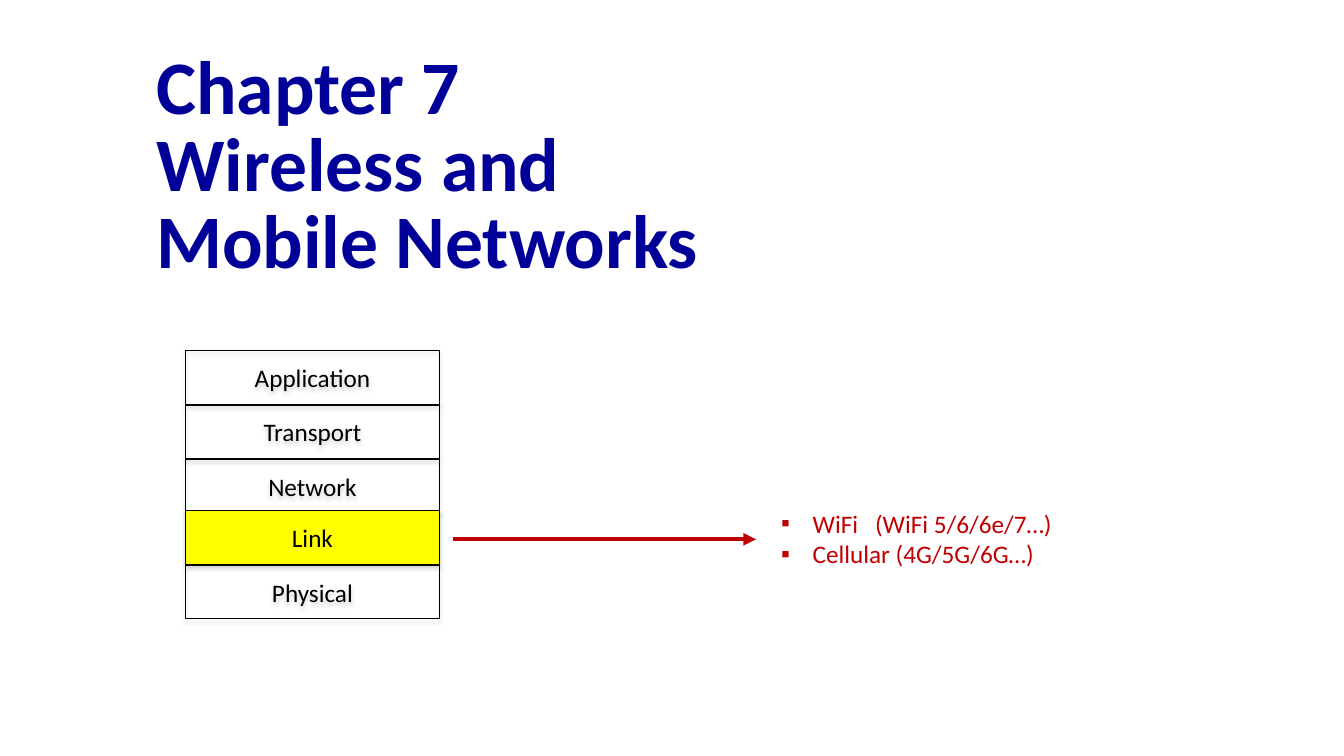
from dataclasses import dataclass

from lxml.etree import SubElement
from pptx import Presentation
from pptx.dml.color import RGBColor
from pptx.enum.shapes import MSO_CONNECTOR, MSO_SHAPE
from pptx.enum.text import MSO_ANCHOR, MSO_AUTO_SIZE, PP_ALIGN
from pptx.oxml.ns import qn
from pptx.util import Pt


@dataclass(frozen=True)
class Theme:
    font: str = "Calibri"
    title_size: int = 54
    text_size: int = 18
    navy: str = "000099"
    black: str = "000000"
    yellow: str = "FFFF00"
    red: str = "C00000"
    shadow: str = "808080"


theme = Theme()


def add_run(paragraph, text, size, color, bold=False):
    run = paragraph.add_run()
    run.text = text
    run.font.name = theme.font
    run.font.size = Pt(size)
    run.font.bold = bold
    run.font.color.rgb = RGBColor.from_string(color)


def place(part, left, top, width, height):
    part.left, part.top = Pt(left), Pt(top)
    part.width, part.height = Pt(width), Pt(height)


presentation = Presentation()
presentation.slide_width, presentation.slide_height = Pt(960), Pt(540)
slide = presentation.slides.add_slide(presentation.slide_layouts[1])

# Chapter title
chapter = slide.shapes.title
place(chapter, 104.4, 43.9, 751.7, 152.6)
chapter_text = chapter.text_frame
chapter_text.word_wrap = True
chapter_text.auto_size = MSO_AUTO_SIZE.NONE
chapter_text.vertical_anchor = MSO_ANCHOR.MIDDLE
heading = chapter_text.paragraphs[0]
add_run(heading, "Chapter 7", theme.title_size, theme.navy, True)
heading.add_line_break()
add_run(heading, "Wireless and", theme.title_size, theme.navy, True)
subject = chapter_text.add_paragraph()
add_run(subject, "Mobile Networks", theme.title_size, theme.navy, True)
for paragraph in (heading, subject):
    paragraph.alignment = PP_ALIGN.LEFT
    paragraph.line_spacing = 0.85
    paragraph.space_before = Pt(0)

# Protocol stack, with the link layer highlighted
layer_tops = {
    "Application": 250.6,
    "Transport": 289.4,
    "Network": 328.3,
    "Link": 365,
    "Physical": 403.9,
}
for name, top in layer_tops.items():
    layer = slide.shapes.add_shape(
        MSO_SHAPE.RECTANGLE, Pt(132.5), Pt(top), Pt(181.4), Pt(38.2))
    if name == "Link":
        layer.fill.solid()
        layer.fill.fore_color.rgb = RGBColor.from_string(theme.yellow)
    else:
        layer.fill.background()
    layer.line.color.rgb = RGBColor.from_string(theme.black)
    layer.line.width = Pt(0.75)
    layer.shadow.inherit = False
    effects = layer.element.spPr.find(qn("a:effectLst"))
    shadow = SubElement(
        effects, qn("a:outerShdw"), blurRad=str(Pt(3.1)), dist=str(Pt(1.8)),
        dir="5400000", rotWithShape="0")
    shade = SubElement(shadow, qn("a:srgbClr"), val=theme.shadow)
    SubElement(shade, qn("a:alpha"), val="35000")
    layer.text_frame.vertical_anchor = MSO_ANCHOR.MIDDLE
    label = layer.text_frame.paragraphs[0]
    label.alignment = PP_ALIGN.CENTER
    add_run(label, name, theme.text_size, theme.black)

# Arrow from the link layer to its technologies
arrow = slide.shapes.add_connector(
    MSO_CONNECTOR.STRAIGHT, Pt(323.3), Pt(385.2), Pt(540), Pt(385.2))
arrow.line.color.rgb = RGBColor.from_string(theme.red)
arrow.line.width = Pt(3)
arrow_properties = arrow.element.spPr
SubElement(arrow_properties.find(qn("a:ln")), qn("a:tailEnd"), type="triangle")
SubElement(arrow_properties, qn("a:effectLst"))

# Link technologies
technologies = slide.placeholders[1]
place(technologies, 550.8, 359.3, 305.3, 51.1)
technology_text = technologies.text_frame
technology_text.word_wrap = True
technology_text.auto_size = MSO_AUTO_SIZE.SHAPE_TO_FIT_TEXT
technology_text.vertical_anchor = MSO_ANCHOR.TOP
for index, entry in enumerate(["WiFi\t(WiFi 5/6/6e/7…)", "Cellular (4G/5G/6G…)"]):
    item = technology_text.add_paragraph() if index else technology_text.paragraphs[0]
    indents = item._p.get_or_add_pPr()
    indents.set("marL", str(Pt(22.5)))
    indents.set("indent", str(Pt(-22.5)))
    SubElement(indents, qn("a:buFont"), typeface="Arial")
    SubElement(indents, qn("a:buChar"), char="▪")
    if "\t" in entry:
        tabs = SubElement(indents, qn("a:tabLst"))
        SubElement(tabs, qn("a:tab"), pos=str(Pt(67)), algn="l")
    item.space_before = Pt(0)
    add_run(item, entry, theme.text_size, theme.red)

presentation.save("out.pptx")
